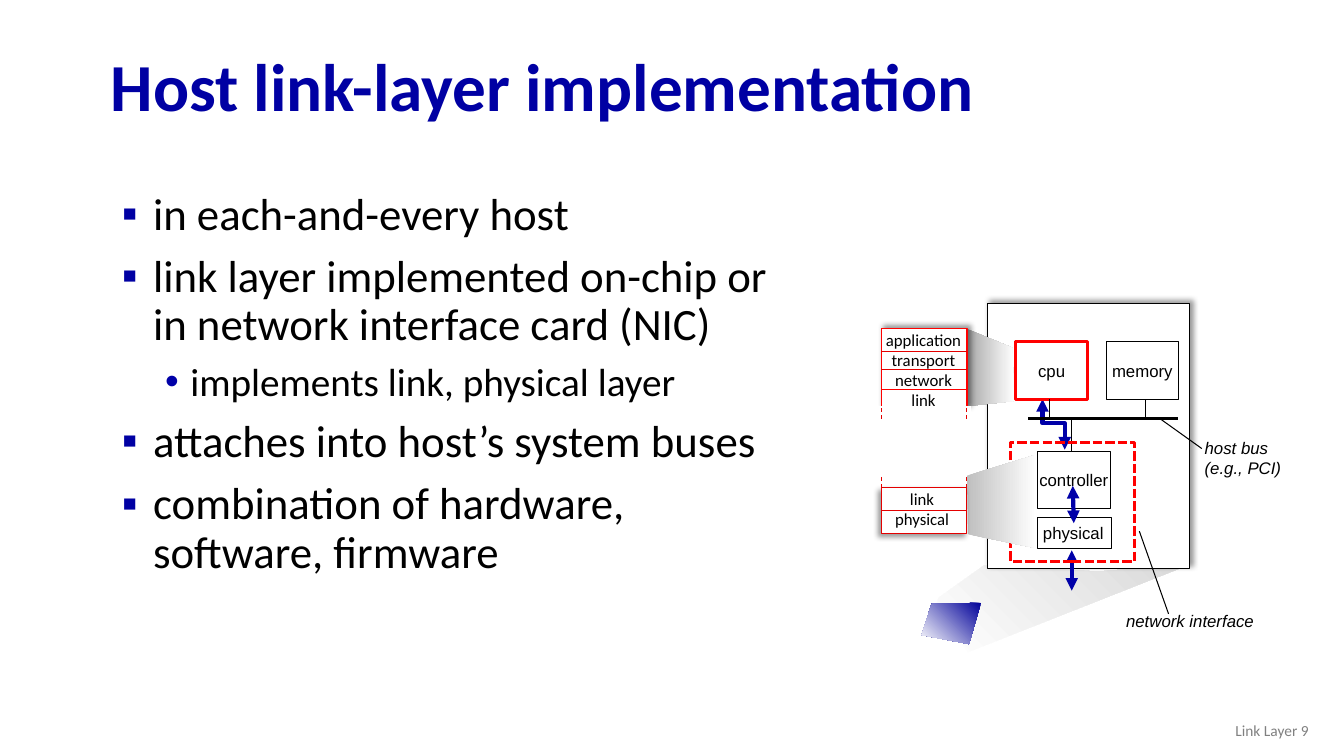
from pptx import Presentation
from pptx.dml.color import RGBColor
from pptx.enum.dml import MSO_LINE
from pptx.enum.shapes import MSO_CONNECTOR, MSO_SHAPE
from pptx.enum.text import MSO_ANCHOR, PP_ALIGN
from pptx.oxml.ns import qn
from pptx.util import Inches, Pt
from dataclasses import dataclass
from lxml.etree import SubElement


@dataclass(frozen=True)
class Theme:
    navy: str = "0000A3"
    arrow: str = "0000A8"
    chip: str = "000099"
    black: str = "000000"
    white: str = "FFFFFF"
    red: str = "FF0000"
    dark_red: str = "E40000"
    footer_grey: str = "808080"
    beam_greys: tuple = ("D9D9D9", "BFBFBF", "A6A6A6")
    text_font: str = "Calibri"
    diagram_font: str = "Arial"
    title_size: int = 48
    bullet_size: int = 32
    sub_size: int = 28
    label_size: int = 12
    footer_size: int = 11
    hairline: float = 0.75
    heavy: float = 2.25
    arrow_width: float = 3


class SlideBuilder:
    def __init__(self, slide, theme):
        self.shapes = slide.shapes
        self.theme = theme

    def style_line(self, line, color, width, dash=None):
        line.color.rgb = RGBColor.from_string(color)
        line.width = Pt(width)
        if dash:
            line.dash_style = dash

    def add_arrowheads(self, shape):
        outline = shape.element.spPr.find(qn("a:ln"))
        for end in ("a:headEnd", "a:tailEnd"):
            SubElement(outline, qn(end), type="triangle")

    def fill_text(self, frame, lines, size, font, color=None, align=PP_ALIGN.LEFT,
                  bold=False, italic=False):
        for i, line in enumerate(lines):
            paragraph = frame.paragraphs[0] if i == 0 else frame.add_paragraph()
            paragraph.text = line
            paragraph.alignment = align
            paragraph.font.size = Pt(size)
            paragraph.font.name = font
            paragraph.font.bold = bold
            paragraph.font.italic = italic
            paragraph.font.color.rgb = RGBColor.from_string(color or self.theme.black)

    def text(self, box, lines, size, font, wrap=True, anchor=MSO_ANCHOR.TOP, **style):
        frame = self.shapes.add_textbox(*map(Inches, box)).text_frame
        frame.word_wrap = wrap
        frame.vertical_anchor = anchor
        self.fill_text(frame, lines, size, font, **style)
        return frame

    def bullets(self, box, items):
        """Set (level, text) items as a two-level bulleted list."""
        theme = self.theme
        frame = self.shapes.add_textbox(*map(Inches, box)).text_frame
        frame.word_wrap = True
        levels = [("▪", theme.navy, 0.39, 0.31, theme.bullet_size, 10, 0.9),
                  ("•", theme.arrow, 0.76, 0.25, theme.sub_size, 5, 1.0)]
        for i, (level, item) in enumerate(items):
            mark, color, margin, hanging, size, before, spacing = levels[level]
            paragraph = frame.paragraphs[0] if i == 0 else frame.add_paragraph()
            paragraph.text = item
            paragraph.level = level
            paragraph.line_spacing = spacing
            paragraph.space_before = Pt(before if i else 0)
            properties = paragraph._p.get_or_add_pPr()
            properties.set("marL", str(Inches(margin)))
            properties.set("indent", str(-Inches(hanging)))
            SubElement(SubElement(properties, qn("a:buClr")), qn("a:srgbClr"), val=color)
            SubElement(properties, qn("a:buFont"), typeface=theme.diagram_font)
            SubElement(properties, qn("a:buChar"), char=mark)
            paragraph.font.size = Pt(size)
            paragraph.font.name = theme.text_font
            paragraph.font.color.rgb = RGBColor.from_string(theme.black)

    def block(self, box, label=None, line=None, width=None, filled=True,
              dash=None, shadow_angle=None):
        theme = self.theme
        shape = self.shapes.add_shape(MSO_SHAPE.RECTANGLE, *map(Inches, box))
        shape.shadow.inherit = False
        if filled:
            shape.fill.solid()
            shape.fill.fore_color.rgb = RGBColor.from_string(theme.white)
        else:
            shape.fill.background()
        if line:
            self.style_line(shape.line, line, width or theme.hairline, dash)
        else:
            shape.line.fill.background()
        if shadow_angle is not None:
            shadow = SubElement(shape.element.spPr.find(qn("a:effectLst")),
                                qn("a:outerShdw"), blurRad=str(Pt(4)), dist=str(Pt(3)),
                                dir=str(shadow_angle * 60000), algn="ctr", rotWithShape="0")
            color = SubElement(shadow, qn("a:srgbClr"), val=theme.black)
            SubElement(color, qn("a:alpha"), val="40000")
        if label:
            shape.text_frame.word_wrap = False
            shape.text_frame.vertical_anchor = MSO_ANCHOR.MIDDLE
            self.fill_text(shape.text_frame, [label], theme.label_size,
                           theme.diagram_font, align=PP_ALIGN.CENTER)

    def outline(self, points, close):
        corners = [(Inches(x), Inches(y)) for x, y in points]
        builder = self.shapes.build_freeform(*corners[0], scale=1.0)
        builder.add_line_segments(corners[1:], close=close)
        shape = builder.convert_to_shape()
        shape.shadow.inherit = False
        return shape

    def beam(self, points, start, end, angle):
        """Draw a borderless gradient polygon; angle is counterclockwise."""
        shape = self.outline(points, True)
        shape.fill.gradient()
        shape.fill.gradient_angle = angle
        for stop, color in zip(shape.fill.gradient_stops, (start, end)):
            stop.color.rgb = RGBColor.from_string(color)
        shape.line.fill.background()

    def bent_arrow(self, points):
        shape = self.outline(points, False)
        shape.fill.background()
        self.style_line(shape.line, self.theme.arrow, self.theme.arrow_width)
        self.add_arrowheads(shape)

    def line(self, start, end, color=None, width=None, dash=None, arrows=False):
        connector = self.shapes.add_connector(
            MSO_CONNECTOR.STRAIGHT, *map(Inches, (*start, *end)))
        self.style_line(connector.line, color or self.theme.black,
                        width or self.theme.hairline, dash)
        if arrows:
            self.add_arrowheads(connector)
        SubElement(connector.element.spPr, qn("a:effectLst"))

    def double_arrow(self, start, end):
        self.line(start, end, self.theme.arrow, self.theme.arrow_width, arrows=True)


def draw_host(b, t):
    b.beam([(9.28, 6.01), (9.31, 5.93), (9.76, 5.61), (10.89, 5.67), (11.8, 5.6),
            (9.6, 6.47)], t.white, t.beam_greys[0], 45)
    b.block((9.79, 3.01, 2.01, 2.63), line=t.black, shadow_angle=315)
    b.block((10.29, 5.13, 0.73, 0.31), line=t.black)
    b.block((10.29, 4.48, 0.72, 0.57), "controller", t.black)
    b.text((10.24, 5.14, 0.81, 0.3), ["physical"], t.label_size, t.diagram_font,
           wrap=False, align=PP_ALIGN.CENTER)
    b.bent_arrow([(10.34, 3.96), (10.34, 4.2), (10.56, 4.2), (10.56, 4.46)])
    bus_y = 4.15
    b.line((10.2, bus_y), (11.68, bus_y), width=t.heavy)
    b.line((10.63, 4.48), (10.63, bus_y))
    b.block((10.07, 3.39, 0.72, 0.57), "cpu", t.red, t.heavy)
    b.block((10.97, 3.39, 0.72, 0.57), "memory", t.black)
    for x in (10.41, 11.36):
        b.line((x, bus_y), (x, 3.96))
    b.text((11.85, 4.29, 1.14, 0.5), ["host bus", "(e.g., PCI)"], t.label_size,
           t.diagram_font, italic=True)
    b.double_arrow((10.64, 4.82), (10.65, 5.19))
    b.double_arrow((10.63, 5.46), (10.63, 5.86))
    b.line((11.92, 4.45), (11.5, bus_y))
    b.text((11.07, 6.01, 1.48, 0.3), ["network interface"], t.label_size,
           t.diagram_font, wrap=False, italic=True)
    b.line((11.59, 6.09), (11.3, 5.27))
    b.block((10.02, 4.39, 1.23, 1.18), line=t.red, width=t.heavy, filled=False,
            dash=MSO_LINE.SQUARE_DOT)


def draw_stacks(b, t):
    left, right, width = 8.74, 9.59, 0.85
    b.beam([(10.28, 4.51), (right, 4.72), (9.6, 5.3), (10.28, 5.44)],
           t.beam_greys[1], t.white, 0)
    b.block((left, 4.84, width, 0.45), line=t.dark_red, shadow_angle=135)
    b.beam([(10.04, 3.45), (9.58, 3.26), (right, 4.03), (10.06, 3.98)],
           t.beam_greys[2], t.white, 0)
    b.block((left, 3.26, width, 0.8), line=t.red, width=1, shadow_angle=315)
    b.text((8.68, 3.22, 0.96, 0.91), ["application", "transport", "network", "link"],
           t.label_size, t.text_font, wrap=False, align=PP_ALIGN.CENTER)
    b.block((8.67, 4.03, 0.96, 0.2))
    b.text((8.77, 4.8, 0.75, 0.51), ["link", "physical"], t.label_size, t.text_font,
           wrap=False, align=PP_ALIGN.CENTER)
    for y, color in ((3.49, t.dark_red), (3.67, t.dark_red), (3.86, t.red),
                     (5.06, t.dark_red)):
        b.line((left, y), (right, y), color)
    for x in (left, right):
        for top, bottom in ((4.05, 4.16), (4.73, 4.84)):
            b.line((x, top), (x, bottom), t.dark_red, dash=MSO_LINE.DASH)


def main():
    deck = Presentation()
    deck.slide_width, deck.slide_height = Inches(13.33), Inches(7.5)
    t = Theme()
    b = SlideBuilder(deck.slides.add_slide(deck.slide_layouts[6]), t)
    title = b.text((1, 0.4, 11.5, 0.98), ["Host link-layer implementation"], t.title_size,
                   t.text_font, anchor=MSO_ANCHOR.MIDDLE, color=t.navy, bold=True)
    title.paragraphs[0].line_spacing = 0.9
    b.bullets((1.03, 1.85, 6.76, 5.1), [
        (0, "in each-and-every host"),
        (0, "link layer implemented on-chip or in network interface card (NIC)"),
        (1, "implements link, physical layer"),
        (0, "attaches into host’s system buses"),
        (0, "combination of hardware, software, firmware"),
    ])
    draw_host(b, t)
    draw_stacks(b, t)
    b.beam([(9.73, 5.98), (9.24, 5.99), (9.14, 6.3), (9.61, 6.39)], t.chip, t.white, 225)
    b.text((10.08, 7.05, 3, 0.4), ["Link Layer 9"], t.footer_size, t.text_font,
           anchor=MSO_ANCHOR.MIDDLE, color=t.footer_grey, align=PP_ALIGN.RIGHT)
    deck.save("out.pptx")


if __name__ == "__main__":
    main()
